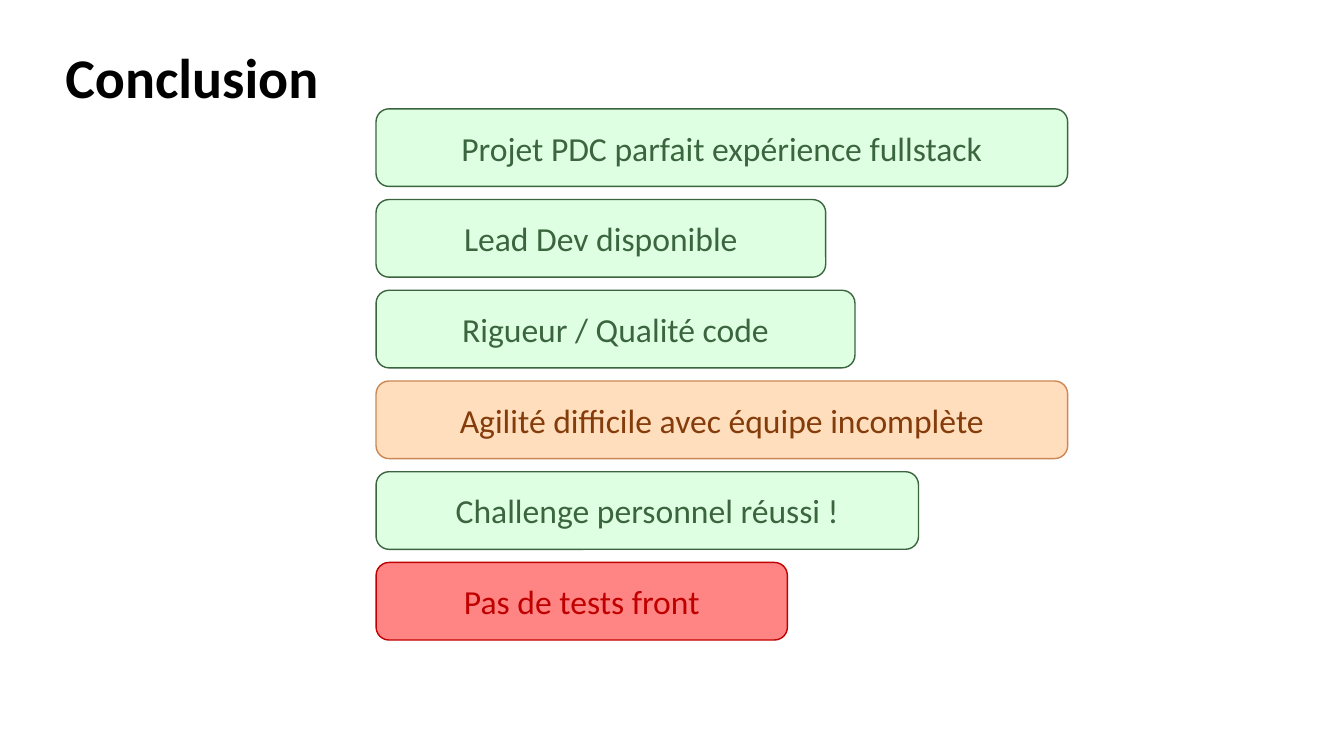
"""Builds the conclusion slide with its six coloured findings."""
from pptx import Presentation
from pptx.dml.color import RGBColor
from pptx.enum.shapes import MSO_SHAPE
from pptx.enum.text import MSO_ANCHOR, PP_ALIGN
from pptx.util import Inches, Pt

ROUND = MSO_SHAPE.ROUNDED_RECTANGLE
MIDDLE = MSO_ANCHOR.MIDDLE
CENTER = PP_ALIGN.CENTER

GOOD = ("DEFFE2", "3B653E", "3B653E")
MIXED = ("FFDEBD", "CC8754", "843C0B")
BAD = ("FF8585", "C00000", "C00000")
LEFT, TOP, HEIGHT, STEP = 3.73, 1.08, 0.77, 0.9


def paint(target, color):
    target.rgb = RGBColor.from_string(color)


def write(shape, text, size, color):
    shape.text_frame.text = text
    font = shape.text_frame.paragraphs[0].runs[0].font
    font.name = "Calibri"
    font.size = Pt(size)
    paint(font.color, color)
    return font


prs = Presentation()
prs.slide_width = Inches(13.33)
prs.slide_height = Inches(7.5)
slide = prs.slides.add_slide(prs.slide_layouts[6])

title = slide.shapes.add_textbox(Inches(0.55), Inches(0.37), Inches(3.64), Inches(0.77))
title.fill.solid()
paint(title.fill.fore_color, "FFFFFF")
title.text_frame.word_wrap = True
write(title, "Conclusion", 40, "000000").bold = True

points = [
    ("Projet PDC parfait expérience fullstack", 6.86, GOOD),
    ("Lead Dev disponible", 4.46, GOOD),
    ("Rigueur / Qualité code", 4.75, GOOD),
    ("Agilité difficile avec équipe incomplète", 6.86, MIXED),
    ("Challenge personnel réussi !", 5.38, GOOD),
    ("Pas de tests front", 4.08, BAD),
]
for row, (text, width, (fill, line, ink)) in enumerate(points):
    box = slide.shapes.add_shape(
        ROUND, Inches(LEFT), Inches(TOP + row * STEP), Inches(width), Inches(HEIGHT)
    )
    box.shadow.inherit = False
    box.fill.solid()
    paint(box.fill.fore_color, fill)
    paint(box.line.color, line)
    box.line.width = Pt(1)
    write(box, text, 24, ink)
    box.text_frame.word_wrap = True
    box.text_frame.vertical_anchor = MIDDLE
    box.text_frame.paragraphs[0].alignment = CENTER

prs.save("out.pptx")
